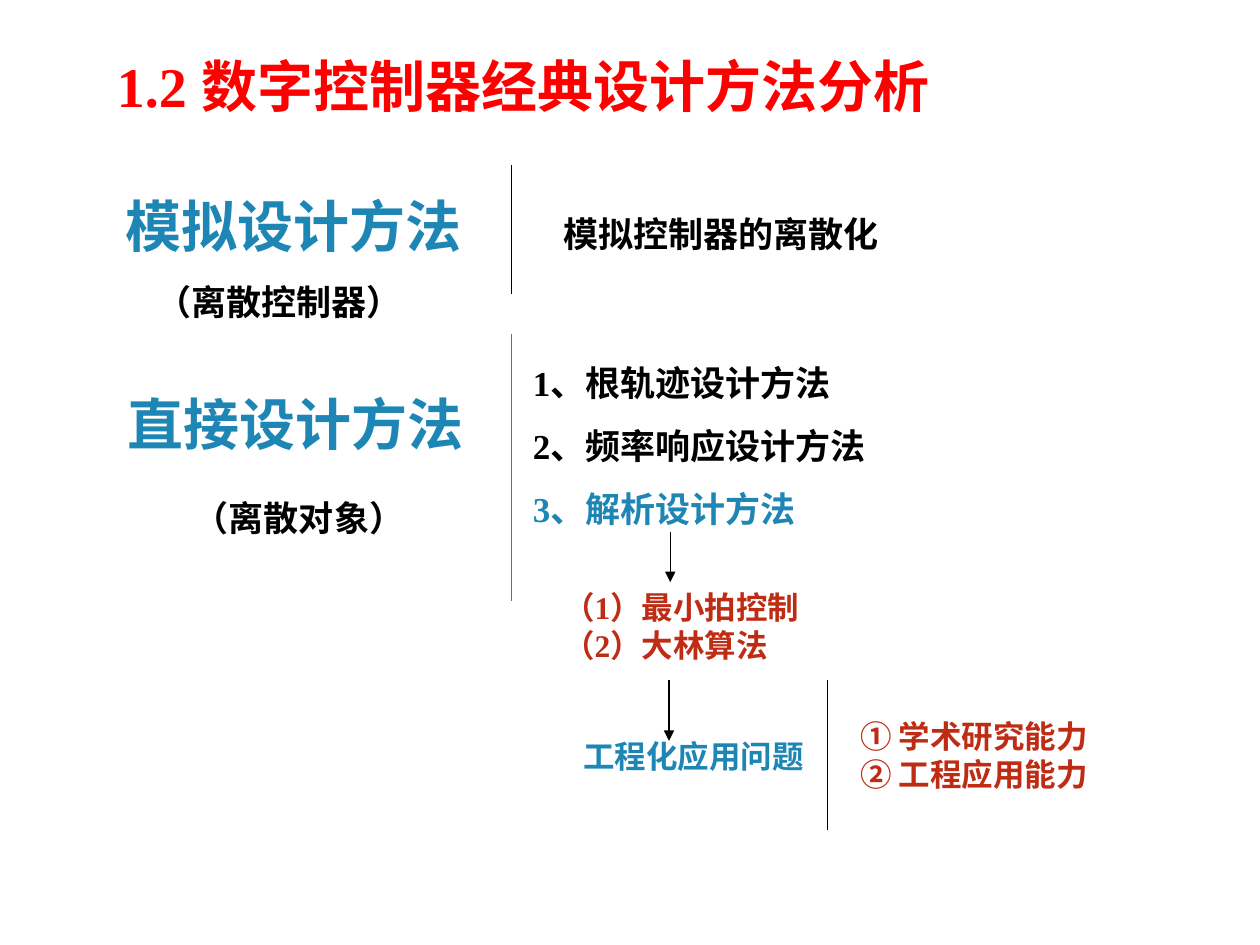
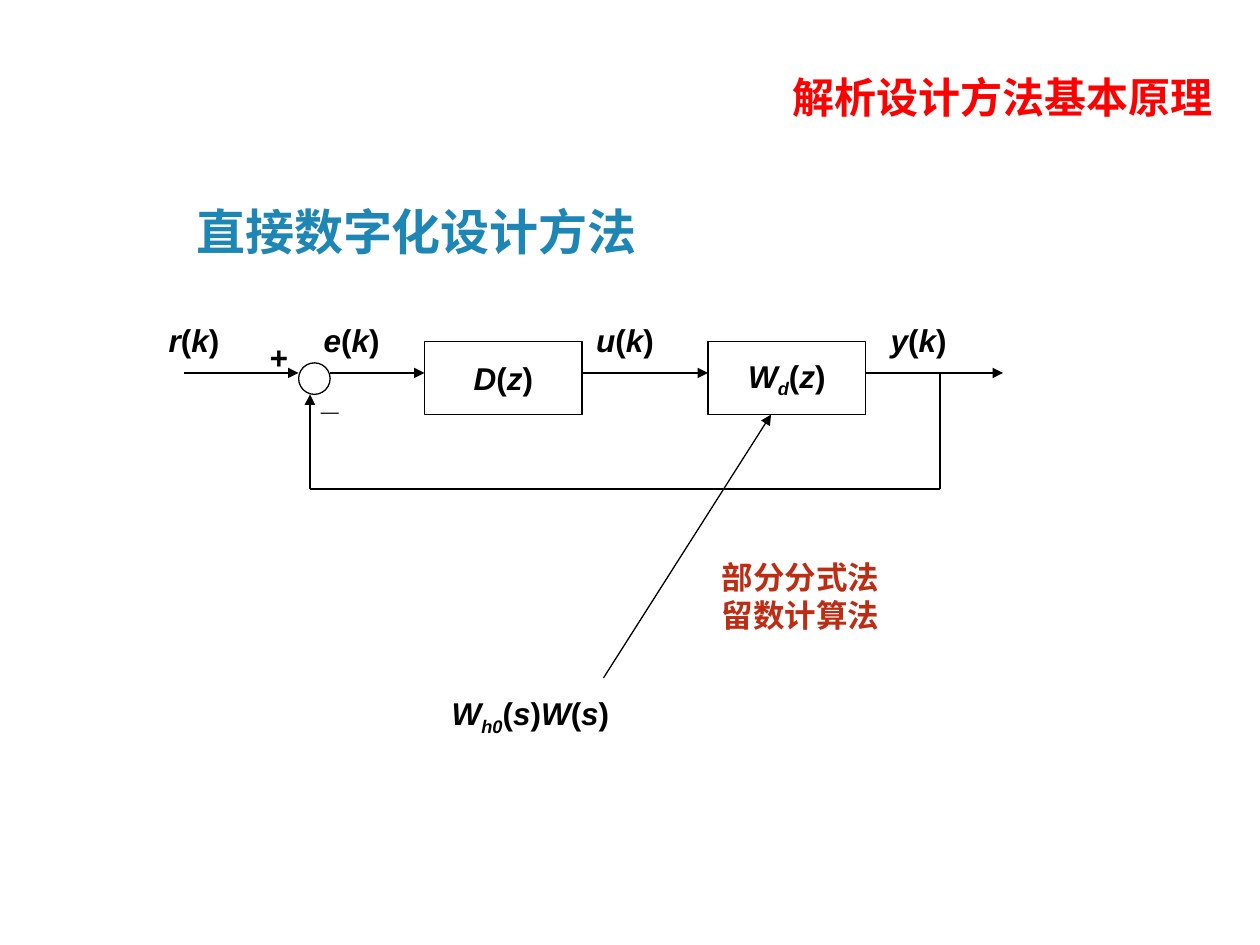
from pptx import Presentation
from pptx.dml.color import RGBColor as Rgb
from pptx.enum.shapes import MSO_CONNECTOR as Link, MSO_SHAPE as Form
from pptx.enum.text import MSO_ANCHOR as Anchor, MSO_AUTO_SIZE as Fit, PP_ALIGN as Align
from pptx.oxml.ns import qn
from pptx.util import Inches, Pt
from lxml.etree import SubElement as Sub

HUES = {"black": "000000", "blue": "1E86B4", "red": "FF0000", "rust": "BE2C14"}
ROMAN, SANS, HAN = "Times New Roman", "Arial", "Noto Sans CJK SC"


def hue(name):
    return Rgb.from_string(HUES[name])


def add_run(para, text, size, font, color, italic=False, sub=False):
    run = para.add_run()
    run.text = text
    face = run.font
    face.name, face.size, face.bold = font, Pt(size), True
    face.italic = italic
    face.color.rgb = hue(color)
    props = run._r.get_or_add_rPr()
    Sub(props, qn("a:ea")).set("typeface", HAN)
    if sub:
        props.set("baseline", "-25000")


def add_math(para, text, **style):
    for i, part in enumerate(text.split("|")):
        if i % 2:
            add_run(para, part, italic=True, sub=True, **style)
        else:
            for sign in part:
                add_run(para, sign, italic=sign not in "()", **style)


def write(frame, text, size=18, font=ROMAN, color="black", align=Align.LEFT,
          gap=None, wrap=True, math=False):
    frame.word_wrap = wrap
    put = add_math if math else add_run
    for i, line in enumerate(text.split("\n")):
        para = frame.add_paragraph() if i else frame.paragraphs[0]
        para.alignment = align
        if gap:
            para.line_spacing = gap
        put(para, line, size=size, font=font, color=color)


def add_text(slide, box, text, **style):
    frame = slide.shapes.add_textbox(*map(Inches, box)).text_frame
    write(frame, text, **style)
    frame.auto_size = Fit.SHAPE_TO_FIT_TEXT
    return frame


def add_sign(slide, mid, top, wide, text):
    add_text(slide, (mid - wide / 2, top, wide, 0.4), text,
             font=SANS, align=Align.CENTER, wrap=False, math=True)


def add_line(slide, start, end, color="black", arrow=False):
    line = slide.shapes.add_connector(Link.STRAIGHT, *map(Inches, start + end))
    line.line.color.rgb = hue(color)
    line.line.width = Pt(0.75)
    if arrow:
        Sub(line.line._get_or_add_ln(), qn("a:tailEnd")).set("type", "triangle")
    Sub(line._element.spPr, qn("a:effectLst"))


def add_node(slide, form, box, text=""):
    node = slide.shapes.add_shape(form, *map(Inches, box))
    node.shadow.inherit = False
    node.fill.background()
    node.line.color.rgb = hue("black")
    node.line.width = Pt(0.75)
    if text:
        node.text_frame.vertical_anchor = Anchor.MIDDLE
        write(node.text_frame, text, font=SANS, align=Align.CENTER, wrap=False, math=True)


def add_title(slide, box, text, **style):
    add_text(slide, box, text, color="red", **style)


def add_head(slide, box, text, size=32):
    add_text(slide, box, text, size=size, font=SANS, color="blue")


def draw_methods(slide):
    add_title(slide, (0.83, 0.36, 8.66, 0.64), "1.2 数字控制器经典设计方法分析", size=32)
    add_head(slide, (0.9, 1.47, 3.31, 0.64), "模拟设计方法")
    add_head(slide, (0.91, 3.04, 3.39, 0.64), "直接设计方法")
    add_text(slide, (1.14, 2.18, 2.52, 0.44), "（离散控制器）", size=20)
    add_text(slide, (1.44, 3.89, 2.23, 0.44), "（离散对象）", size=20)
    add_text(slide, (4.37, 1.47, 3.78, 0.6), "模拟控制器的离散化", size=20, gap=1.5)

    steps = add_text(slide, (4.13, 2.65, 3.15, 1.6),
                     "1、根轨迹设计方法\n2、频率响应设计方法\n3、解析设计方法", size=20, gap=1.5)
    steps.paragraphs[-1].runs[0].font.color.rgb = hue("blue")

    add_text(slide, (4.37, 4.62, 2.38, 0.7), "（1）最小拍控制\n（2）大林算法", color="rust")
    add_text(slide, (4.53, 5.8, 2.68, 0.4), "工程化应用问题", color="blue")
    add_text(slide, (6.73, 5.64, 2.84, 0.7), "① 学术研究能力\n② 工程应用能力",
             font=HAN, color="rust")

    add_line(slide, (4.06, 1.31), (4.06, 2.33))
    add_line(slide, (4.06, 2.65), (4.06, 4.77), color="blue")
    add_line(slide, (6.57, 5.4), (6.57, 6.59))
    for x, top, end in ((5.32, 4.22, 4.62), (5.31, 5.4, 5.88)):
        add_line(slide, (x, top), (x, end), arrow=True)


def draw_loop(slide):
    add_title(slide, (4.82, 0.52, 4.9, 0.5), "解析设计方法基本原理", size=24, align=Align.RIGHT)
    add_head(slide, (1.46, 1.55, 5.74, 0.57), "直接数字化设计方法", size=28)

    for x, text in ((3.37, "D(z)"), (5.62, "W|d|(z)")):
        add_node(slide, Form.RECTANGLE, (x, 2.71, 1.25, 0.58), text)
    add_node(slide, Form.OVAL, (2.37, 2.88, 0.25, 0.25))

    flow = 2.96
    for x, end in ((1.46, 2.37), (2.62, 3.37), (4.62, 5.62), (6.87, 7.96)):
        add_line(slide, (x, flow), (end, flow), arrow=True)

    back = 3.88
    add_line(slide, (7.46, flow), (7.46, back))
    add_line(slide, (7.46, back), (2.46, back))
    add_line(slide, (2.46, back), (2.46, 3.13), arrow=True)

    for mid, text in ((1.54, "r(k)"), (2.79, "e(k)"), (4.96, "u(k)"), (7.29, "y(k)")):
        add_sign(slide, mid, 2.5, 0.9, text)
    add_sign(slide, 2.21, 2.63, 0.5, "+")
    add_sign(slide, 2.63, 2.96, 0.5, "_")
    add_sign(slide, 4.21, 5.46, 1.7, "W|h0|(s)W(s)")

    add_line(slide, (4.79, 5.38), (6.12, 3.29), arrow=True)
    add_text(slide, (5.63, 4.38, 1.45, 0.7), "部分分式法\n留数计算法",
             font=SANS, color="rust", wrap=False)


def main():
    deck = Presentation()
    deck.slide_width, deck.slide_height = Inches(10), Inches(7.5)
    for draw in (draw_methods, draw_loop):
        draw(deck.slides.add_slide(deck.slide_layouts[6]))
    deck.save("out.pptx")


if __name__ == "__main__":
    main()
